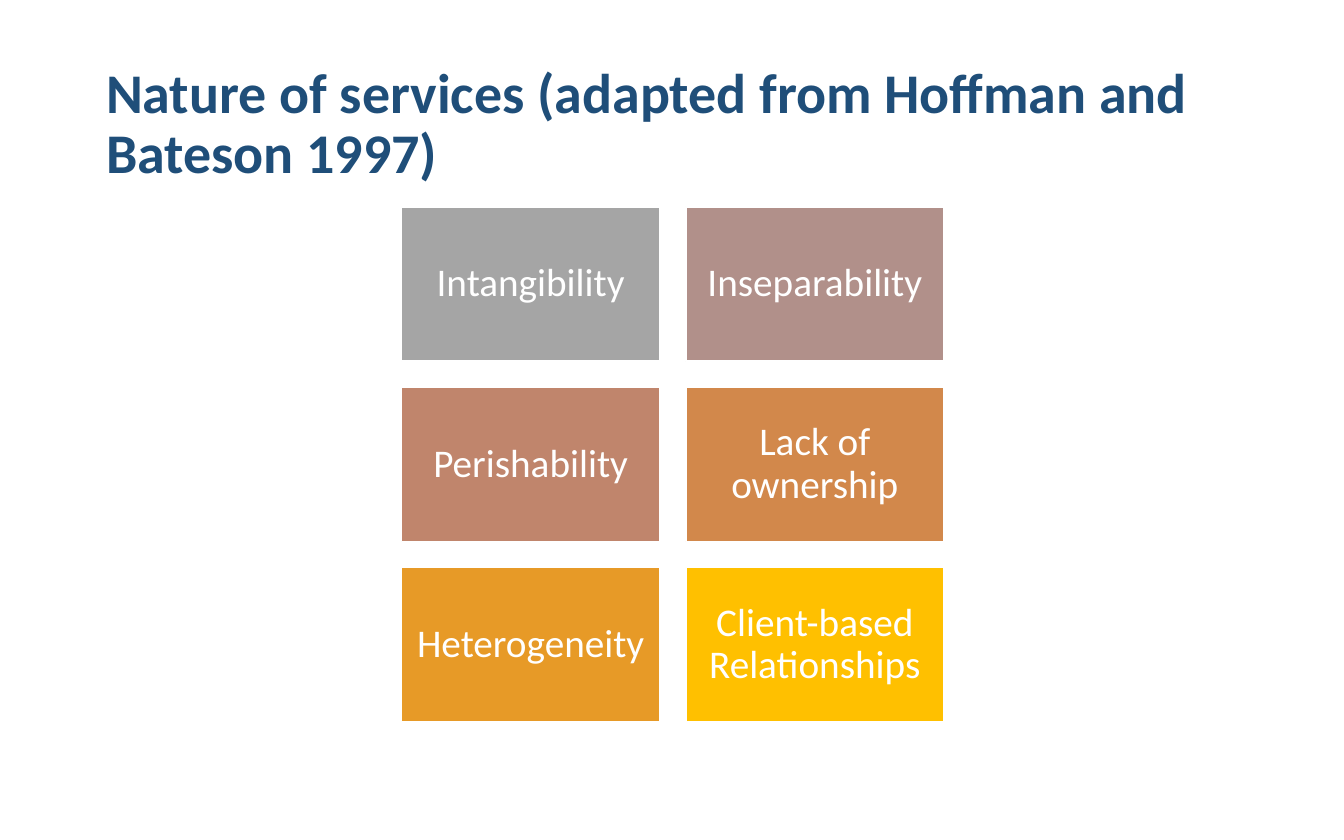
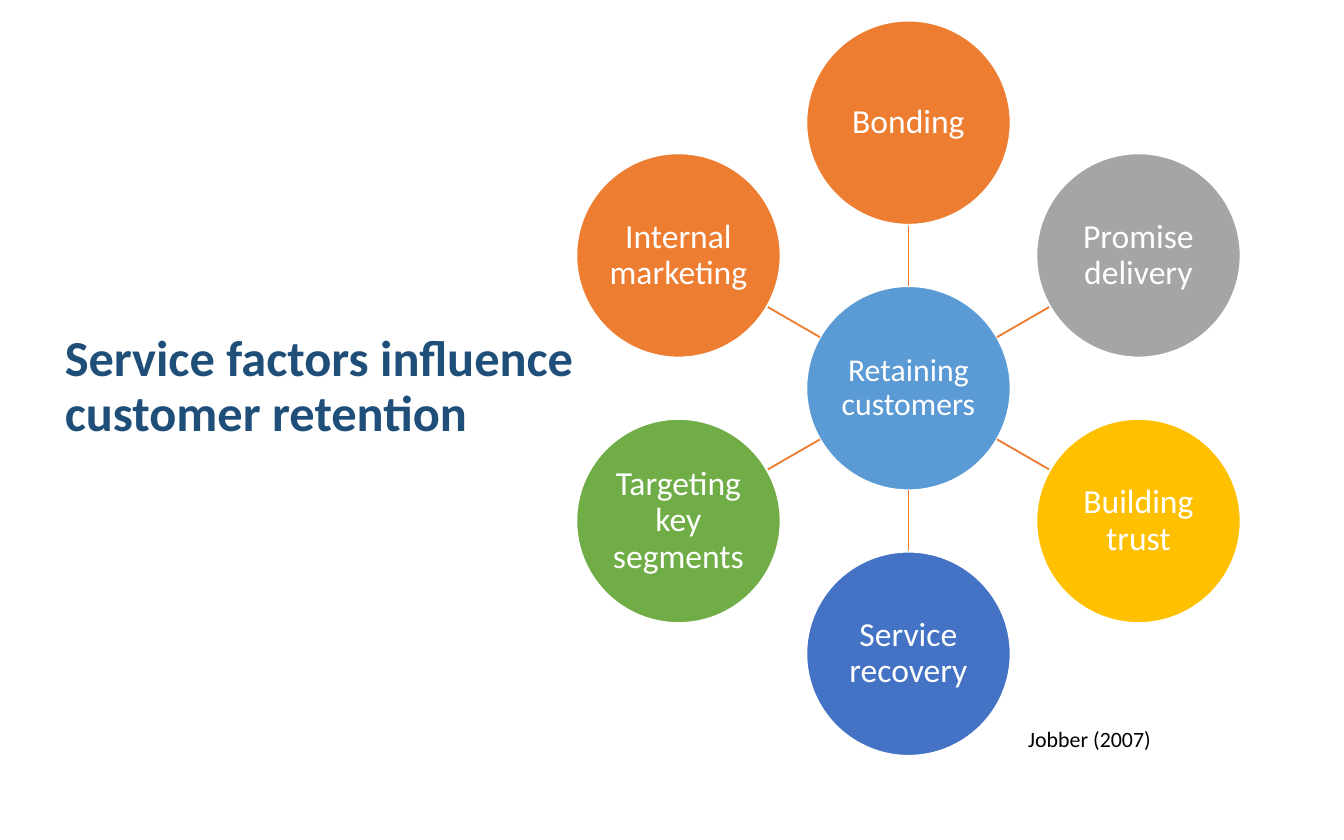
import math
from dataclasses import dataclass

import lxml.etree
import pptx
import pptx.dml.color
import pptx.enum.shapes
import pptx.enum.text
import pptx.oxml.ns
import pptx.util

Cm = pptx.util.Cm
SHAPE = pptx.enum.shapes.MSO_SHAPE
ALIGN = pptx.enum.text.PP_ALIGN
ANCHOR = pptx.enum.text.MSO_ANCHOR
MARGINS = ("margin_left", "margin_top", "margin_right", "margin_bottom")


@dataclass(frozen=True)
class Theme:
    font: str = "Calibri"
    title: str = "1F4E79"
    white: str = "FFFFFF"
    black: str = "000000"
    blue: str = "5B9BD5"
    orange: str = "ED7D31"
    gray: str = "A5A5A5"
    gold: str = "FFC000"
    indigo: str = "4472C4"
    green: str = "70AD47"
    rose: str = "B1908A"
    clay: str = "C0856C"
    copper: str = "D2884B"
    amber: str = "E79A27"
    wide_title_size: float = 30
    side_title_size: float = 27
    tile_size: float = 21
    hub_size: float = 17
    factor_size: float = 18
    source_size: float = 11.7
    line_width: float = 1
    line_spacing: float = 0.9
    tile_margin: float = 0.23
    circle_margin: float = 0.03


@dataclass(frozen=True)
class Box:
    left: float
    top: float
    width: float
    height: float

    def lengths(self):
        return [Cm(value) for value in (self.left, self.top, self.width, self.height)]


THEME = Theme()


def rgb(color):
    return pptx.dml.color.RGBColor.from_string(color)


def apply_format(target, values):
    for name, value in values.items():
        setattr(target, name, value)


def write(shape, text, size, color, bold=False, align=ALIGN.LEFT,
          spacing=THEME.line_spacing, **frame_values):
    frame = shape.text_frame
    apply_format(frame, {"word_wrap": True, "vertical_anchor": ANCHOR.MIDDLE, **frame_values})
    para = frame.paragraphs[0]
    apply_format(para, {"alignment": align, "line_spacing": spacing})
    span = para.add_run()
    span.text = text
    apply_format(span.font, {"name": THEME.font, "size": pptx.util.Pt(size), "bold": bold})
    span.font.color.rgb = rgb(color)


def add_titled_page(deck, text, box, size):
    page = deck.slides.add_slide(deck.slide_layouts[5])
    title = page.shapes.title
    apply_format(title, dict(zip(("left", "top", "width", "height"), box.lengths())))
    write(title, text, size, THEME.title, bold=True,
          auto_size=pptx.enum.text.MSO_AUTO_SIZE.NONE)
    return page


def style_line(line, color):
    line.color.rgb = rgb(color)
    line.width = pptx.util.Pt(THEME.line_width)


def add_node(page, kind, box, text, fill, size, margin):
    node = page.shapes.add_shape(kind, *box.lengths())
    node.shadow.inherit = False
    node.fill.solid()
    node.fill.fore_color.rgb = rgb(fill)
    style_line(node.line, THEME.white)
    write(node, text, size, THEME.white, align=ALIGN.CENTER,
          **dict.fromkeys(MARGINS, Cm(margin)))


def add_spoke(page, start, end):
    spoke = page.shapes.add_connector(
        pptx.enum.shapes.MSO_CONNECTOR.STRAIGHT, *[Cm(value) for value in (*start, *end)])
    style_line(spoke.line, THEME.orange)
    lxml.etree.SubElement(spoke._element.spPr, pptx.oxml.ns.qn("a:effectLst"))


def add_tile_grid(page, box, tiles, columns=2, gap=0.49):
    rows = math.ceil(len(tiles) / columns)
    width = (box.width - gap * (columns - 1)) / columns
    height = (box.height - gap * (rows - 1)) / rows
    for index, (text, fill) in enumerate(tiles):
        row, column = divmod(index, columns)
        tile = Box(box.left + column * (width + gap), box.top + row * (height + gap),
                   width, height)
        add_node(page, SHAPE.RECTANGLE, tile, text, fill, THEME.tile_size, THEME.tile_margin)


def add_radial_diagram(page, box, hub_text, factors, diameter=3.86):
    center = (box.left + box.width / 2, box.top + box.height / 2)
    orbit = (box.height - diameter) / 2
    radius = diameter / 2

    def point(angle, distance):
        return (center[0] + distance * math.sin(angle), center[1] - distance * math.cos(angle))

    def add_circle(middle, text, fill, size):
        circle = Box(middle[0] - radius, middle[1] - radius, diameter, diameter)
        add_node(page, SHAPE.OVAL, circle, text, fill, size, THEME.circle_margin)

    add_circle(center, hub_text, THEME.blue, THEME.hub_size)
    for index, (text, fill) in enumerate(factors):
        angle = math.tau * index / len(factors)
        add_spoke(page, point(angle, radius), point(angle, orbit - radius))
        add_circle(point(angle, orbit), text, fill, THEME.factor_size)


def add_source(page, box, text):
    source = page.shapes.add_textbox(*box.lengths())
    write(source, text, THEME.source_size, THEME.black, spacing=1.0,
          vertical_anchor=ANCHOR.TOP)


def build_nature_page(deck):
    page = add_titled_page(deck, "Nature of services (adapted from Hoffman and Bateson 1997)",
                           Box(1.75, 0.84, 21.9, 3.07), THEME.wide_title_size)
    add_tile_grid(page, Box(7.59, 3.91, 10.25, 9.74), [
        ("Intangibility", THEME.gray),
        ("Inseparability", THEME.rose),
        ("Perishability", THEME.clay),
        ("Lack of ownership", THEME.copper),
        ("Heterogeneity", THEME.amber),
        ("Client-based Relationships", THEME.gold),
    ])


def build_retention_page(deck):
    page = add_titled_page(deck, "Service factors influence customer retention",
                           Box(0.97, 5.79, 10.95, 3.07), THEME.side_title_size)
    add_radial_diagram(page, Box(10.9, 0.39, 12.54, 13.9), "Retaining customers", [
        ("Bonding", THEME.orange),
        ("Promise delivery", THEME.gray),
        ("Building trust", THEME.gold),
        ("Service recovery", THEME.indigo),
        ("Targeting key segments", THEME.green),
        ("Internal marketing", THEME.orange),
    ])
    add_source(page, Box(19.18, 13.59, 4.83, 0.76), "Jobber (2007)")


def main():
    deck = pptx.Presentation()
    apply_format(deck, {"slide_width": Cm(25.4), "slide_height": Cm(15.88)})
    build_nature_page(deck)
    build_retention_page(deck)
    deck.save("out.pptx")


if __name__ == "__main__":
    main()
